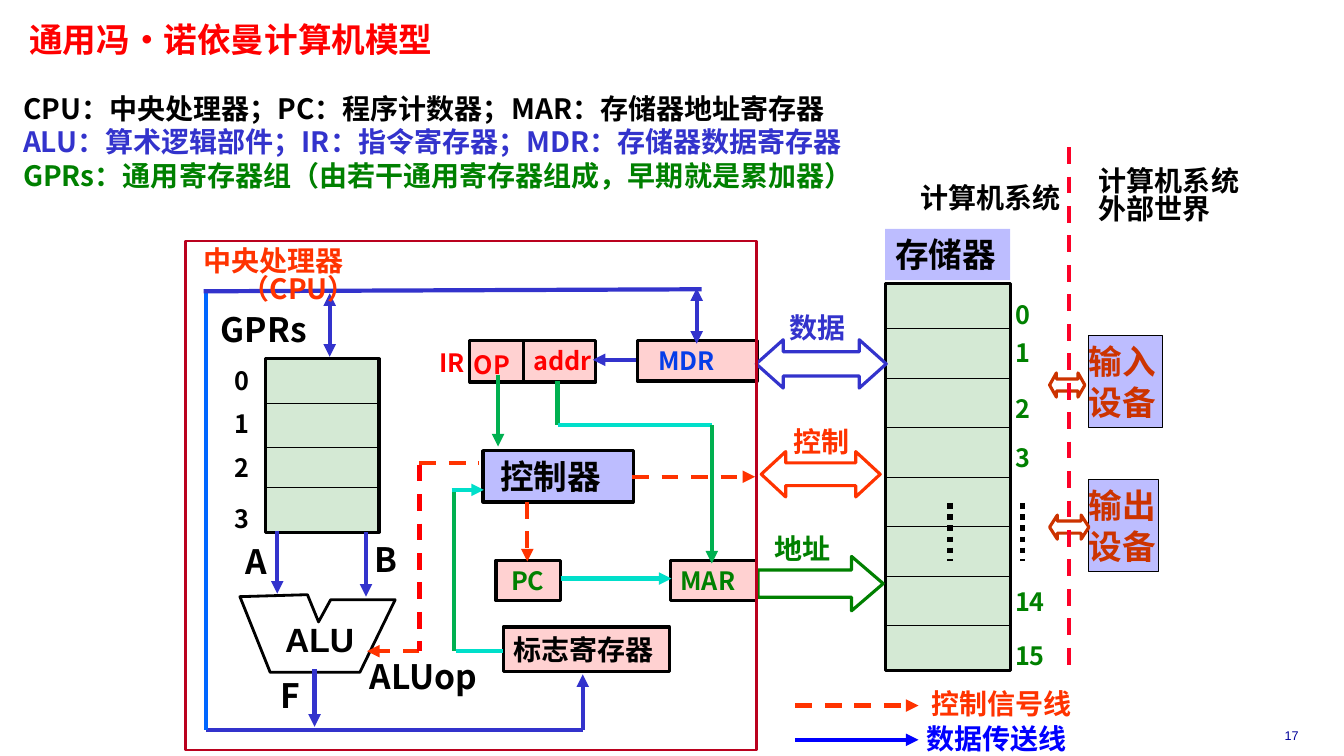
from lxml.etree import SubElement
from pptx import Presentation
from pptx.dml.color import RGBColor
from pptx.enum.dml import MSO_LINE
from pptx.enum.lang import MSO_LANGUAGE_ID as LANG
from pptx.enum.shapes import MSO_CONNECTOR, MSO_SHAPE as SHAPE
from pptx.enum.text import MSO_ANCHOR as ANCHOR, PP_ALIGN as ALIGN
from pptx.oxml.ns import qn
from pptx.util import Inches, Pt

CJK = "Noto Sans CJK SC"
COLORS = {
    "black": "000000", "white": "FFFFFF", "red": "FF0000", "orange": "FF3300",
    "rust": "CC3300", "crimson": "BA011E", "border": "FC0128", "green": "008000",
    "path_green": "00B050", "cyan": "00DFCA", "indigo": "3333CC", "blue": "0000FF",
    "bus_blue": "0066FF", "mdr_blue": "063DE8", "navy": "000099",
}
DASH, DOT = MSO_LINE.DASH, MSO_LINE.ROUND_DOT


def rgb(name):
    return RGBColor.from_string(COLORS[name])


def write(shape, text, size=18, color="black", font=CJK, bold=True, align=ALIGN.LEFT,
          anchor=ANCHOR.MIDDLE, insets=(0.1, 0.05, 0.1, 0.05), spacing=None, hang=0):
    """Fill a shape with text, one paragraph per line; color may list one per paragraph."""
    frame = shape.text_frame
    frame.word_wrap = True
    frame.vertical_anchor = anchor
    (frame.margin_left, frame.margin_top,
     frame.margin_right, frame.margin_bottom) = map(Inches, insets)
    lines = text.split("\n")
    colors = [color] * len(lines) if isinstance(color, str) else color
    for index, (line, tone) in enumerate(zip(lines, colors)):
        paragraph = frame.paragraphs[0] if index == 0 else frame.add_paragraph()
        paragraph.alignment = align
        if spacing:
            paragraph.line_spacing = spacing
        if hang:
            properties = paragraph._p.get_or_add_pPr()
            properties.set("marL", str(Inches(hang)))
            properties.set("indent", str(-Inches(hang)))
        run = paragraph.add_run()
        run.text = line
        run.font.size, run.font.bold, run.font.name = Pt(size), bold, font
        run.font.color.rgb = rgb(tone)
        run.font.language_id = LANG.SIMPLIFIED_CHINESE
        latin = run._r.rPr.find(qn("a:latin"))
        east_asian = SubElement(run._r.rPr, qn("a:ea"), typeface=font)
        latin.addnext(east_asian)


def label(slide, at, text, **style):
    write(slide.shapes.add_textbox(*map(Inches, at)), text, **style)


def outline(shape, color, width):
    shape.shadow.inherit = False
    if color:
        shape.line.color.rgb = rgb(color)
        shape.line.width = Pt(width)
    else:
        shape.line.fill.background()


def box(slide, at, fill=None, alpha=100, line="black", width=2.25, kind=SHAPE.RECTANGLE):
    shape = slide.shapes.add_shape(kind, *map(Inches, at))
    outline(shape, line, width)
    if fill:
        shape.fill.solid()
        shape.fill.fore_color.rgb = rgb(fill)
        if alpha < 100:
            tint = shape.fill._xPr.find(qn("a:solidFill"))[0]
            SubElement(tint, qn("a:alpha"), val=str(alpha * 1000))
    else:
        shape.fill.background()
    return shape


def block_arrow(slide, at, color, head, kind=SHAPE.LEFT_RIGHT_ARROW):
    arrow = box(slide, at, "white", line=color, kind=kind)
    arrow.adjustments[0], arrow.adjustments[1] = 0.5, head


def wire(slide, start, end, color="black", width=3, dash=None, tips=""):
    """Draw a line; tips is "", "end" or "both"."""
    line = slide.shapes.add_connector(MSO_CONNECTOR.STRAIGHT, *map(Inches, start + end))
    line.line.color.rgb = rgb(color)
    line.line.width = Pt(width)
    if dash:
        line.line.dash_style = dash
    stroke = line.line._get_or_add_ln()
    if tips == "both":
        SubElement(stroke, qn("a:headEnd"), type="triangle")
    if tips:
        SubElement(stroke, qn("a:tailEnd"), type="triangle")
    SubElement(line._element.spPr, qn("a:effectLst"))


def cell_bank(slide, at, dividers):
    left, _, width, _ = at
    box(slide, at, "green", 17)
    for y in dividers:
        wire(slide, (left, y), (left + width, y), width=0.75)


def alu(slide):
    points = [(2.38, 5.92), (3.05, 5.9), (3.16, 6.17), (3.28, 5.95),
              (3.92, 5.95), (3.57, 6.67), (2.68, 6.67)]
    corners = [(Inches(x), Inches(y)) for x, y in points]
    builder = slide.shapes.build_freeform(*corners[0])
    builder.add_line_segments(corners[1:], close=True)
    body = builder.convert_to_shape()
    body.fill.background()
    outline(body, "black", 2)
    label(slide, (2.73, 6.14, 0.89, 0.46), "ALU", size=24, font="Arial", spacing=0.9)


def headings(slide):
    label(slide, (0.22, 0.21, 9, 0.41), "通用冯·诺依曼计算机模型", size=24, color="red",
          spacing=0.87, insets=(0.07, 0.03, 0.07, 0.03))
    label(slide, (0.13, 0.78, 9.45, 1.25),
          "CPU：中央处理器；PC：程序计数器；MAR：存储器地址寄存器\n"
          "ALU：算术逻辑部件；IR：指令寄存器；MDR：存储器数据寄存器\n"
          "GPRs：通用寄存器组（由若干通用寄存器组成，早期就是累加器）",
          size=20, color=("black", "indigo", "green"))
    label(slide, (12.34, 7.17, 0.94, 0.25), "17", size=9, color="navy", font="Arial",
          bold=False, align=ALIGN.CENTER)


def processor(slide):
    cell_bank(slide, (2.63, 3.56, 1.13, 1.72), (4, 4.44, 4.84))
    for number, y in enumerate((3.57, 4, 4.44, 4.94)):
        label(slide, (2.23, y, 0.35, 0.4), str(number))
    alu(slide)
    registers = [
        ((4.92, 5.56, 0.64, 0.4), "PC", 18, "green", 0.15),
        ((6.65, 5.56, 0.85, 0.4), "MAR", 18, "green", 0.1),
        ((6.32, 3.38, 1.19, 0.4), "MDR", 18, "mdr_blue", 0.21),
        ((4.99, 6.22, 1.65, 0.44), "标志寄存器", 20, "black", 0.1),
    ]
    for at, name, size, color, inset in registers:
        write(box(slide, at, "red", 18), name, size=size, color=color,
              insets=(inset, 0.05, 0.05, 0.05))
    write(box(slide, (4.79, 4.47, 1.49, 0.51), "blue", 26), "控制器", size=24,
          insets=(0.17, 0.05, 0.1, 0.05))
    box(slide, (4.66, 3.38, 1.25, 0.41), "red", 18)
    wire(slide, (5.19, 3.38), (5.19, 3.8), width=2)
    for at, name in [((4.26, 3.4, 0.54, 0.4), "IR"), ((4.6, 3.42, 0.62, 0.4), "OP"),
                     ((5.19, 3.38, 0.82, 0.4), "addr")]:
        label(slide, at, name, color="red")


def memory(slide):
    write(box(slide, (8.78, 2.27, 1.24, 0.51), "blue", 26, line=None), "存储器", size=24)
    cell_bank(slide, (8.78, 2.81, 1.24, 3.84), [3.26 + 0.4917 * i for i in range(7)])
    for number, y in [(0, 2.92), (1, 3.3), (2, 3.85), (3, 4.34), (14, 5.77), (15, 6.3)]:
        label(slide, (9.97, y, 0.33 if number < 10 else 0.53, 0.4), str(number),
              color="green")
    for x in (9.42, 10.14):
        wire(slide, (x, 4.99), (x, 5.57), width=4, dash=DOT)


def buses(slide):
    block_arrow(slide, (7.5, 3.37, 1.29, 0.48), "indigo", 0.559)
    block_arrow(slide, (7.55, 4.48, 1.18, 0.45), "orange", 0.539)
    block_arrow(slide, (7.52, 5.52, 1.24, 0.54), "green", 0.582, SHAPE.RIGHT_ARROW)
    for at, name, color in [((7.73, 3.03, 0.88, 0.44), "数据", "indigo"),
                            ((7.77, 4.16, 0.83, 0.44), "控制", "orange"),
                            ((7.58, 5.22, 0.98, 0.44), "地址", "green")]:
        label(slide, at, name, size=20, color=color)


def devices(slide):
    for name, y, width, arrow_y, arrow_width, head in [
            ("输入\n设备", 3.33, 0.73, 3.7, 0.35, 0.282),
            ("输出\n设备", 4.76, 0.69, 5.11, 0.39, 0.322)]:
        device = box(slide, (10.8, y, width, 0.91), "blue", 26, width=0.75)
        write(device, name, size=24, color="rust", insets=(0, 0.05, 0, 0.05))
        block_arrow(slide, (10.41, arrow_y, arrow_width, 0.24), "rust", head)


def wiring(slide):
    for start, end, color, tips in [
            ((2.75, 5.27), (2.75, 5.89), "indigo", "end"),
            ((3.63, 5.28), (3.63, 5.92), "indigo", "end"),
            ((2.04, 7.24), (5.78, 7.24), "indigo", ""),
            ((5.78, 7.24), (5.78, 6.69), "indigo", "end"),
            ((3.12, 6.64), (3.12, 7.21), "indigo", "end"),
            ((2.04, 7.24), (2.04, 2.91), "bus_blue", ""),
            ((2.02, 2.89), (6.96, 2.87), "indigo", ""),
            ((6.91, 2.86), (6.91, 3.41), "indigo", "both"),
            ((3.27, 2.91), (3.27, 3.54), "indigo", "both"),
            ((6.31, 3.57), (5.88, 3.57), "indigo", "end"),
            ((4.94, 3.72), (4.94, 4.43), "path_green", "end"),
            ((5.56, 5.74), (6.66, 5.74), "cyan", "end"),
            ((5.53, 3.78), (5.53, 4.22), "path_green", ""),
            ((5.53, 4.22), (7.06, 4.22), "cyan", ""),
            ((7.06, 4.22), (7.06, 5.59), "path_green", "end"),
            ((4.52, 6.46), (4.99, 6.46), "cyan", ""),
            ((4.5, 4.88), (4.5, 6.46), "path_green", ""),
            ((4.48, 4.86), (4.8, 4.86), "cyan", "end"),
            ((7.89, 7.34), (9.11, 7.34), "blue", "end")]:
        wire(slide, start, end, color, tips=tips)
    for start, end, color, tips in [
            ((6.27, 4.73), (7.49, 4.73), "orange", "end"),
            ((4.16, 4.59), (4.75, 4.59), "orange", ""),
            ((4.16, 6.46), (3.64, 6.46), "orange", "end"),
            ((4.16, 4.61), (4.16, 6.46), "red", ""),
            ((5.23, 4.98), (5.23, 5.57), "orange", "end"),
            ((7.89, 7), (9.11, 7), "orange", "end"),
            ((10.6, 1.46), (10.6, 6.69), "border", "")]:
        wire(slide, start, end, color, dash=DASH, tips=tips)


def captions(slide):
    box(slide, (1.84, 2.39, 5.66, 5.05), line="crimson", width=2)
    label(slide, (1.92, 2.39, 2.8, 0.44), "中央处理器（CPU）", size=20, color="orange",
          anchor=ANCHOR.TOP, insets=(0.1, 0.08, 0.8, 0.05), spacing=0.83, hang=0.38)
    for at, name in [((2.09, 3.01, 1.28, 0.5), "GPRs"), ((2.68, 6.65, 0.68, 0.5), "F"),
                     ((2.34, 5.32, 0.68, 0.5), "A"), ((3.62, 5.3, 0.68, 0.5), "B"),
                     ((3.57, 6.45, 1.38, 0.51), "ALUop")]:
        label(slide, at, name, size=24)
    label(slide, (9.14, 6.76, 1.86, 0.44), "控制信号线", size=20, color="orange")
    label(slide, (9.09, 7.1, 1.86, 0.44), "数据传送线", size=20, color="blue")
    label(slide, (10.8, 1.62, 1.85, 0.67), "计算机系统外部世界", size=20, spacing=0.85)
    label(slide, (9.03, 1.79, 1.85, 0.39), "计算机系统", size=20, spacing=0.85)


def main():
    deck = Presentation()
    deck.slide_width, deck.slide_height = Inches(13.33), Inches(7.5)
    slide = deck.slides.add_slide(deck.slide_layouts[6])
    for draw in (headings, processor, memory, buses, devices, wiring, captions):
        draw(slide)
    deck.save("out.pptx")


if __name__ == "__main__":
    main()
